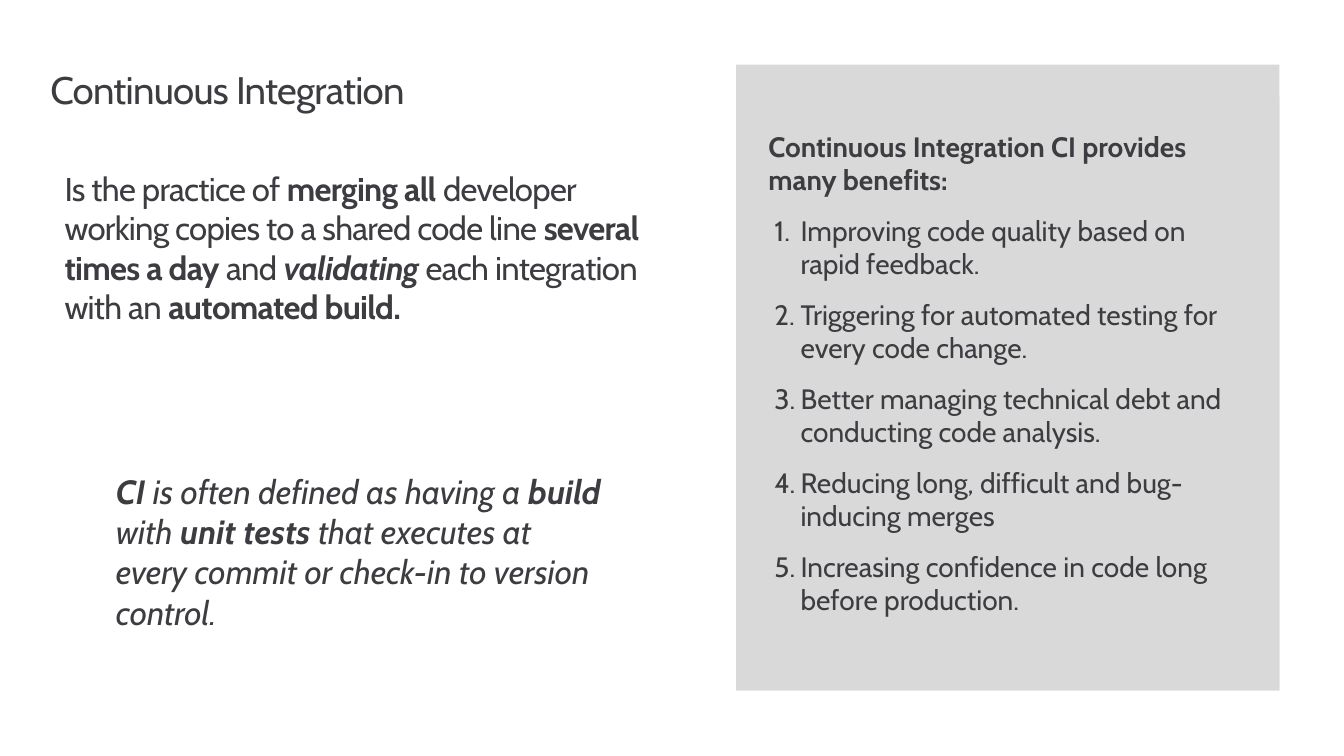
"""Build a slide on continuous integration and its benefits."""
import pptx
import pptx.dml.color
import pptx.enum.shapes
import pptx.enum.text
import pptx.oxml.ns
import pptx.util
from lxml import etree

COLORS = {"text": "3C3C41", "panel": "D9D9D9"}
FONT = "Cabin"
WIDTH, HEIGHT = 13.33, 7.5
PLACEHOLDER_INSETS = (0, 0.1, 0.16, 0.1)

DEFINITION = [
    ("Is the practice of ", ""),
    ("merging all", "b"),
    (" developer working copies to a shared code line ", ""),
    ("several times a day", "b"),
    (" and ", ""),
    ("validating ", "bi"),
    ("each integration with an ", ""),
    ("automated build.", "b"),
]
QUOTE = [
    ("CI", "bi"),
    (" is often defined as having a ", "i"),
    ("build ", "bi"),
    ("with ", "i"),
    ("unit tests ", "bi"),
    ("that executes at every commit or check-in to version control.", "i"),
]
BENEFITS_HEADING = "Continuous Integration CI provides many benefits:"
BENEFITS = [
    "Improving code quality based on rapid feedback.",
    "Triggering for automated testing for every code change.",
    "Better managing technical debt and conducting code analysis.",
    "Reducing long, difficult and bug-inducing merges",
    "Increasing confidence in code long before production.",
]


def to_lengths(values):
    """Convert inches to slide lengths."""
    return [pptx.util.Inches(value) for value in values]


def set_frame(text_frame, insets):
    """Wrap the text from the top within the given insets."""
    text_frame.word_wrap = True
    text_frame.vertical_anchor = pptx.enum.text.MSO_ANCHOR.TOP
    (text_frame.margin_left, text_frame.margin_top,
     text_frame.margin_right, text_frame.margin_bottom) = to_lengths(insets)


def add_runs(paragraph, parts, size, tracking=0):
    """Fill a paragraph with (text, style) parts, b for bold and i for italic."""
    paragraph.alignment = pptx.enum.text.PP_ALIGN.LEFT
    for text, style in parts:
        run = paragraph.add_run()
        run.text = text
        run.font.name = FONT
        run.font.size = pptx.util.Pt(size)
        run.font.bold = "b" in style
        run.font.italic = "i" in style
        run.font.color.rgb = pptx.dml.color.RGBColor.from_string(COLORS["text"])
        if tracking:
            run.font._element.set("spc", str(round(tracking * 100)))


def add_text(slide, box, parts, size, insets=(0, 0, 0, 0), tracking=0):
    """Add a one-paragraph text box and return its paragraph."""
    text_frame = slide.shapes.add_textbox(*to_lengths(box)).text_frame
    set_frame(text_frame, insets)
    paragraph = text_frame.paragraphs[0]
    add_runs(paragraph, parts, size, tracking)
    return paragraph


def add_panel(slide, box):
    """Add a plain grey rectangle."""
    shape = slide.shapes.add_shape(
        pptx.enum.shapes.MSO_SHAPE.RECTANGLE, *to_lengths(box))
    shape.shadow.inherit = False
    shape.fill.solid()
    shape.fill.fore_color.rgb = pptx.dml.color.RGBColor.from_string(COLORS["panel"])
    shape.line.fill.background()
    return shape


def number_paragraph(paragraph):
    """Give a paragraph an automatic number and a hanging indent."""
    properties = paragraph._p.get_or_add_pPr()
    properties.set("marL", str(pptx.util.Inches(0.32)))
    properties.set("indent", str(pptx.util.Inches(-0.26)))
    numbering = etree.SubElement(properties, pptx.oxml.ns.qn("a:buAutoNum"))
    numbering.set("type", "arabicPeriod")


def add_explanation(slide, box):
    """Place the title, definition and quote in the left region."""
    left, top, width, height = box
    title = add_text(slide, (left, top, WIDTH - 2 * left, 0.89),
                     [("Continuous Integration", "")], 27.4,
                     PLACEHOLDER_INSETS, -0.5)
    title.line_spacing = 0.9
    add_text(slide, (left + 0.14, top + 0.96, width - 0.14, 1.79),
             DEFINITION, 23.5, PLACEHOLDER_INSETS, -0.5)
    add_text(slide, (left + 0.65, top + height - 1.62, 4.89, 1.62), QUOTE, 24)


def add_benefits(slide, box):
    """Place the grey panel with its heading and numbered benefits."""
    left, top, width, height = box
    inset = 0.32
    add_panel(slide, box)
    text_panel = add_panel(slide, (left, top + inset, width, height - inset))
    text_frame = text_panel.text_frame
    set_frame(text_frame, (inset,) * 4)
    add_runs(text_frame.paragraphs[0], [(BENEFITS_HEADING, "b")], 20)
    for benefit in BENEFITS:
        paragraph = text_frame.add_paragraph()
        paragraph.space_before = pptx.util.Pt(12)
        number_paragraph(paragraph)
        add_runs(paragraph, [(benefit, "")], 20)


def main():
    """Build and save the presentation."""
    presentation = pptx.Presentation()
    presentation.slide_width, presentation.slide_height = to_lengths((WIDTH, HEIGHT))
    slide = presentation.slides.add_slide(presentation.slide_layouts[6])
    add_explanation(slide, (0.5, 0.61, 6.23, 5.68))
    add_benefits(slide, (7.3, 0.64, 5.39, 6.21))
    presentation.save("out.pptx")


if __name__ == "__main__":
    main()
